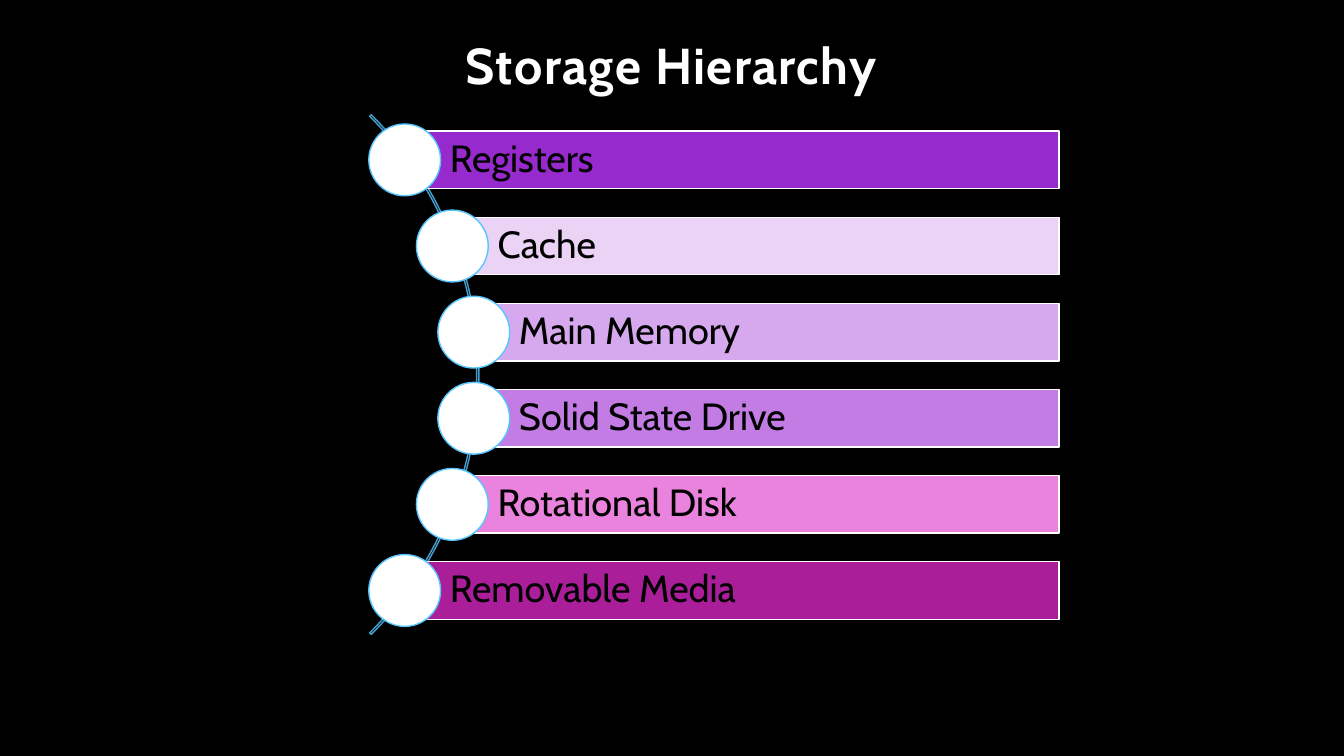
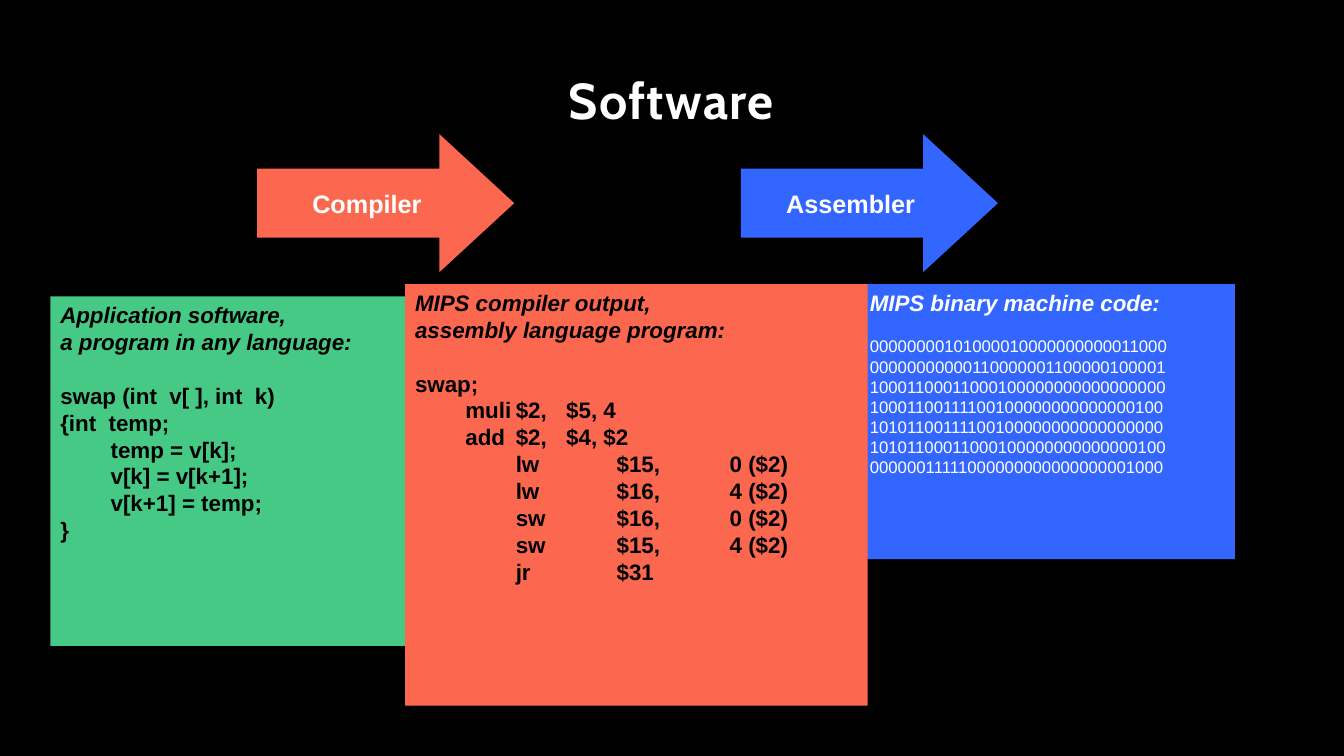
import pptx
import pptx.util
import pptx.dml.color
import pptx.enum.shapes
import pptx.enum.text
import pptx.oxml.ns
import lxml.etree

Cm = pptx.util.Cm
Pt = pptx.util.Pt
RGB = pptx.dml.color.RGBColor
KIND = pptx.enum.shapes.MSO_SHAPE
ANCHOR = pptx.enum.text.MSO_ANCHOR
ALIGN = pptx.enum.text.PP_ALIGN
qn = pptx.oxml.ns.qn

BLACK = RGB(0x00, 0x00, 0x00)
WHITE = RGB(0xFF, 0xFF, 0xFF)
GREEN = RGB(0x45, 0xC9, 0x84)
CORAL = RGB(0xFB, 0x68, 0x4F)
BLUE = RGB(0x33, 0x66, 0xFF)
SKY = RGB(0x56, 0xC5, 0xFF)
STEEL = RGB(0x45, 0x9E, 0xCC)
GRAPE = RGB(0x97, 0x2A, 0xCD)
PALE = RGB(0xEB, 0xD3, 0xF6)
LILAC = RGB(0xD6, 0xA8, 0xED)
VIOLET = RGB(0xC2, 0x7C, 0xE4)
PINK = RGB(0xE9, 0x83, 0xDD)
PLUM = RGB(0xAB, 0x1E, 0x9A)


def draw(slide, kind, place, fill=None, line=None):
    shape = slide.shapes.add_shape(kind, *[Cm(v) for v in place])
    shape.shadow.inherit = False
    if fill is None:
        shape.fill.background()
    else:
        shape.fill.solid()
        shape.fill.fore_color.rgb = fill
    if line is None:
        shape.line.fill.background()
    else:
        shape.line.color.rgb = line
        shape.line.width = Pt(1)
    return shape


def write(par, text, face, size, colour, bold=False, italic=False):
    run = par.add_run()
    run.text = text
    font = run.font
    font.name, font.size, font.bold, font.italic = face, Pt(size), bold, italic
    font.color.rgb = colour
    return run


deck = pptx.Presentation()
deck.slide_width, deck.slide_height = Cm(33.87), Cm(19.05)

slides = []
for title, top, height in [("Storage Hierarchy", 0.64, 1.9), ("Software", 1.07, 2.34)]:
    slide = deck.slides.add_slide(deck.slide_layouts[6])
    slide.background.fill.solid()
    slide.background.fill.fore_color.rgb = BLACK
    frame = slide.shapes.add_textbox(Cm(4.22), Cm(top), Cm(25.4), Cm(height)).text_frame
    frame.word_wrap = True
    frame.vertical_anchor = ANCHOR.BOTTOM
    par = frame.paragraphs[0]
    par.alignment = ALIGN.CENTER
    par.line_spacing = 0.9
    run = write(par, title, "Cabin", 36, WHITE, bold=True)
    run.font._element.set("spc", "100")
    slides.append(slide)
store, soft = slides

arc = draw(store, KIND.BLOCK_ARC, (-6.45, 0.18, 18.52, 18.52), line=STEEL)
for i, value in enumerate((189, 27, 0.003)):
    arc.adjustments[i] = value

LEVELS = [
    ("Registers", 10.2, GRAPE),
    ("Cache", 11.4, PALE),
    ("Main Memory", 11.94, LILAC),
    ("Solid State Drive", 11.94, VIOLET),
    ("Rotational Disk", 11.4, PINK),
    ("Removable Media", 10.2, PLUM),
]
RIGHT, FIRST, PITCH, BAR, DOT = 26.69, 4.03, 2.17, 1.45, 1.81
for i, (name, left, fill) in enumerate(LEVELS):
    mid = FIRST + i * PITCH
    bar = draw(store, KIND.RECTANGLE, (left, mid - BAR / 2, RIGHT - left, BAR), fill, WHITE)
    frame = bar.text_frame
    frame.margin_left = Cm(1.14)
    frame.margin_top = frame.margin_right = frame.margin_bottom = Cm(0.18)
    frame.vertical_anchor = ANCHOR.MIDDLE
    par = frame.paragraphs[0]
    par.alignment = ALIGN.LEFT
    par.line_spacing = 0.9
    write(par, name, "Cabin", 27, BLACK)
    draw(store, KIND.OVAL, (left - DOT / 2, mid - DOT / 2, DOT, DOT), WHITE, SKY)

for name, left, fill in [("Compiler", 6.48, CORAL), ("Assembler", 18.67, BLUE)]:
    arrow = draw(soft, KIND.RIGHT_ARROW, (left, 3.38, 6.48, 3.48), fill)
    arrow.adjustments[1] = 0.542
    frame = arrow.text_frame
    frame.word_wrap = False
    frame.vertical_anchor = ANCHOR.MIDDLE
    par = frame.paragraphs[0]
    par.alignment = ALIGN.CENTER
    write(par, name, "Arial", 18, WHITE, bold=True)

SOURCE = [
    "swap (int  v[ ], int  k)",
    "{int  temp;",
    "\ttemp = v[k];",
    "\tv[k] = v[k+1];",
    "\tv[k+1] = temp;",
    "}",
]
BINARY = [
    "00000000101000010000000000011000",
    "00000000000110000001100000100001",
    "10001100011000100000000000000000",
    "10001100111100100000000000000100",
    "10101100111100100000000000000000",
    "10101100011000100000000000000100",
    "00000011111000000000000000001000",
]
ASSEMBLY = [
    "swap;",
    "\tmuli\t$2,\t$5, 4",
    "\tadd\t$2,\t$4, $2",
    "\tlw\t$15,\t0 ($2)",
    "\tlw\t$16,\t4 ($2)",
    "\tsw\t$16,\t0 ($2)",
    "\tsw\t$15,\t4 ($2)",
    "\tjr\t$31",
]
PANELS = [
    ((1.27, 7.47, 9.35, 8.81), GREEN, BLACK, 16, SOURCE,
     ["Application software,", "a program in any language:"]),
    ((21.67, 7.16, 9.45, 6.93), BLUE, WHITE, 12, BINARY,
     ["MIPS binary machine code:"]),
    ((10.21, 7.16, 11.66, 10.62), CORAL, BLACK, 16, ASSEMBLY,
     ["MIPS compiler output,", "assembly language program:"]),
]
for place, fill, ink, size, code, heads in PANELS:
    frame = draw(soft, KIND.RECTANGLE, place, fill).text_frame
    frame.word_wrap = True
    frame.vertical_anchor = ANCHOR.TOP
    for i, text in enumerate(heads + code):
        par = frame.paragraphs[0] if i == 0 else frame.add_paragraph()
        par.alignment = ALIGN.LEFT
        head = i < len(heads)
        high = 16 if head else size
        par.line_spacing = Pt(high * 1.2)
        if i == len(heads):
            par.space_before = Pt(size * 1.2)
        if "($2)" in text:
            tabs = lxml.etree.SubElement(par._p.get_or_add_pPr(), qn("a:tabLst"))
            for stop in (2.54, 5.08, 7.93):
                lxml.etree.SubElement(tabs, qn("a:tab"), pos=str(int(Cm(stop))), algn="l")
        write(par, text, "Arial", high, ink, bold=head or size == 16, italic=head)

deck.save("out.pptx")
